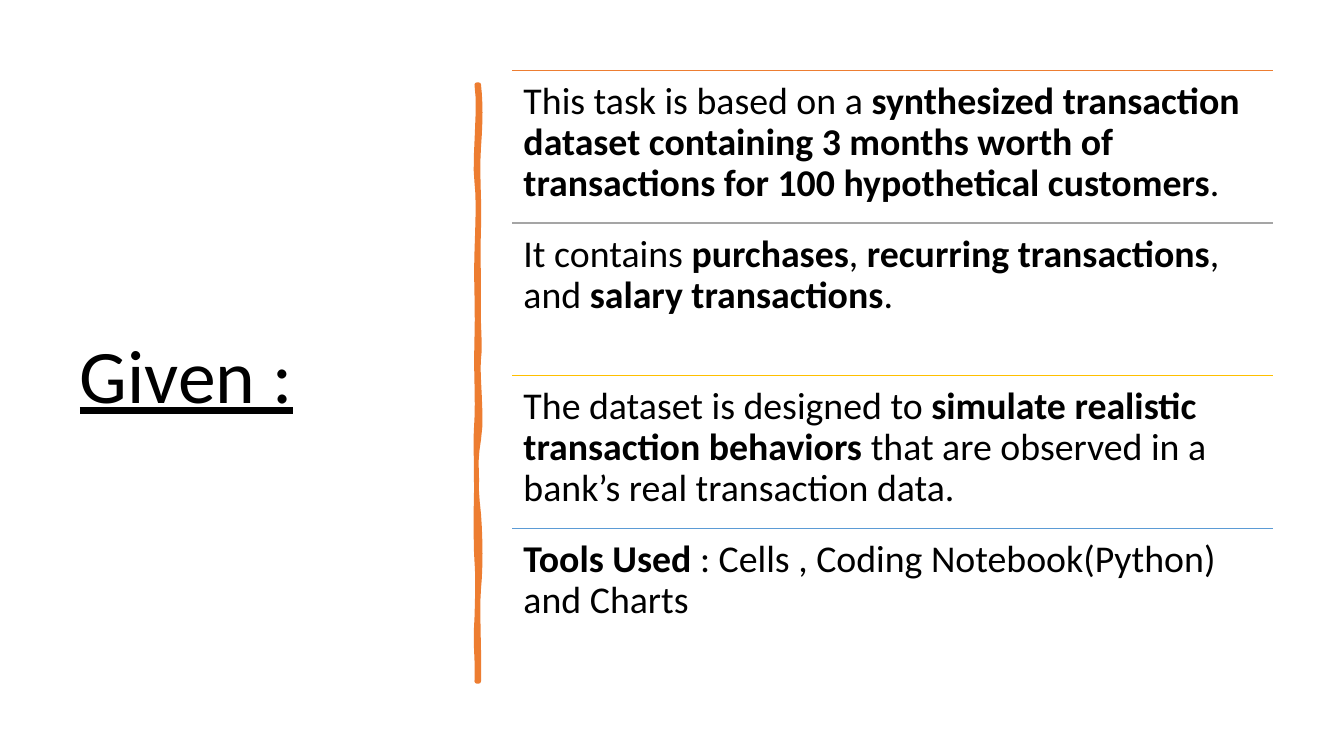
from lxml import etree
from pptx import Presentation
from pptx.dml.color import RGBColor
from pptx.enum.shapes import MSO_CONNECTOR
from pptx.enum.text import MSO_ANCHOR
from pptx.oxml.ns import qn
from pptx.util import Pt

STRAIGHT = MSO_CONNECTOR.STRAIGHT
TOP, MIDDLE = MSO_ANCHOR.TOP, MSO_ANCHOR.MIDDLE
FONT, BLACK, ORANGE = "Calibri", "000000", "ED7D31"
LEFT, START, WIDTH, STEP = 365.8, 50.4, 543.6, 109

ITEMS = [
    (ORANGE, "This task is based on a *synthesized transaction dataset containing "
             "3 months worth of transactions for 100 hypothetical customers*."),
    ("A5A5A5", "It contains *purchases*, *recurring transactions*, and *salary transactions*."),
    ("FFC000", "The dataset is designed to *simulate realistic transaction behaviors *"
               "that are observed in a bank’s real transaction data."),
    ("5B9BD5", "*Tools Used *: Cells , Coding Notebook(Python) and Charts"),
]

BRUSH = [
    (342, 60.5),
    (343.4, 73.4), (343.4, 85.7), (342, 105.1),
    (340.6, 124.6), (342.7, 140.4), (342, 162.7),
    (341.3, 185), (342, 188.6), (342, 211.7),
    (341.3, 234), (343.4, 246.2), (342, 256.3),
    (340.6, 266.4), (344.9, 298.1), (342, 313.9),
    (339.1, 329), (339.8, 348.5), (342, 367.2),
    (343.4, 385.9), (343.4, 406.1), (342, 420.5),
    (340.6, 434.2), (342.7, 468), (342, 486.7),
    (341.3, 486.7), (340.6, 486.7), (340.6, 486.7),
    (341.3, 465.1), (339.1, 463.7), (340.6, 441.4),
    (341.3, 419.8), (341.3, 410.4), (340.6, 401),
    (339.8, 391.7), (339.8, 356.4), (340.6, 343.4),
    (340.6, 330.5), (339.1, 320.4), (340.6, 298.8),
    (341.3, 277.9), (339.8, 268.6), (340.6, 241.2),
    (341.3, 214.6), (339.8, 202.3), (340.6, 180),
    (341.3, 157), (342, 144), (340.6, 130.3),
    (338.4, 117.4), (343.4, 74.9), (340.6, 60.5),
]


def color(code):
    return RGBColor.from_string(code)


def add_text(slide, text, box, size, pad=(7.2, 3.6), anchor=TOP, line=False):
    frame = slide.shapes.add_textbox(*map(Pt, box)).text_frame
    frame.word_wrap = True
    frame.vertical_anchor = anchor
    frame.margin_left = frame.margin_right = Pt(pad[0])
    frame.margin_top = frame.margin_bottom = Pt(pad[1])
    para = frame.paragraphs[0]
    para.line_spacing = 0.9
    for index, part in enumerate(text.split("*")):
        if part:
            run = para.add_run()
            run.text = part
            font = run.font
            font.name, font.size = FONT, Pt(size)
            font.bold, font.underline = index % 2 == 1, line
            font.color.rgb = color(BLACK)


def add_rule(slide, left, top, width, code):
    rule = slide.shapes.add_connector(
        STRAIGHT, Pt(left), Pt(top), Pt(left + width), Pt(top))
    rule.line.color.rgb = color(code)
    rule.line.width = Pt(1)
    etree.SubElement(rule._element.spPr, qn("a:effectLst"))


def curve(nodes, steps=6):
    for i in range(0, len(nodes) - 1, 3):
        for step in range(1, steps + 1):
            t = step / steps
            parts = ((1 - t) ** 3, 3 * t * (1 - t) ** 2, 3 * t * t * (1 - t), t ** 3)
            yield tuple(Pt(sum(p * n[axis] for p, n in zip(parts, nodes[i:i + 4])))
                        for axis in (0, 1))


def add_brush(slide, nodes, code):
    start = nodes[0]
    form = slide.shapes.build_freeform(Pt(start[0]), Pt(start[1]))
    form.add_line_segments(list(curve(nodes)), close=True)
    brush = form.convert_to_shape()
    brush.shadow.inherit = False
    brush.fill.solid()
    brush.fill.fore_color.rgb = color(code)
    brush.line.color.rgb = color(code)
    brush.line.width = Pt(3.25)


def main():
    deck = Presentation()
    deck.slide_width, deck.slide_height = Pt(960), Pt(540)
    slide = deck.slides.add_slide(deck.slide_layouts[6])
    add_text(slide, "Given :", (50, START, 269.3, 440), 54, anchor=MIDDLE, line=True)
    add_brush(slide, BRUSH, ORANGE)
    for row, (code, text) in enumerate(ITEMS):
        top = START + row * STEP
        add_rule(slide, LEFT, top, WIDTH, code)
        add_text(slide, text, (LEFT, top, WIDTH, STEP), 27, pad=(8.1, 8.1))
    deck.save("out.pptx")


if __name__ == "__main__":
    main()
